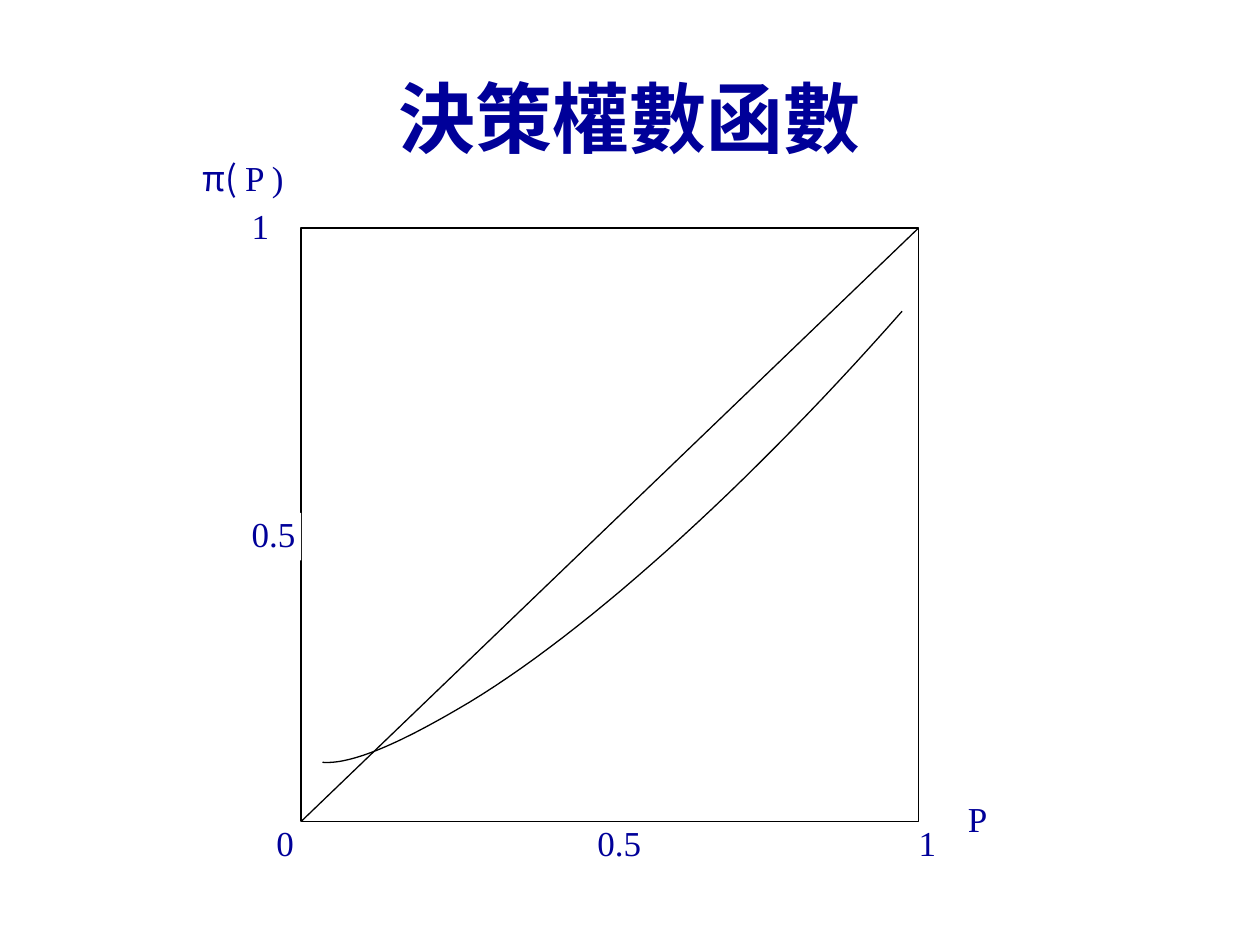
from dataclasses import dataclass

from lxml.etree import SubElement
from pptx import Presentation
from pptx.dml.color import RGBColor
from pptx.enum.shapes import MSO_CONNECTOR, MSO_SHAPE
from pptx.enum.text import MSO_ANCHOR, PP_ALIGN
from pptx.oxml.ns import qn
from pptx.util import Inches, Pt

NAVY, BLACK, WHITE = "000099", "000000", "FFFFFF"
SERIF, CJK = "Times New Roman", "Noto Sans CJK TC"

# The plot is a 25 by 25 grid; labels sit on the same grid outside it.
CELLS = 25
PLOT_LEFT, PLOT_TOP = 2.39, 1.81
COLUMN, ROW = 4.9 / CELLS, 4.71 / CELLS
LABEL_ROWS = 2


@dataclass(frozen=True)
class Label:
    column: int
    row: int
    columns: int
    text: str
    symbol: str = ""


@dataclass(frozen=True)
class Bezier:
    """Four control points, in inches on the slide."""
    start: tuple[float, float]
    pull_start: tuple[float, float]
    pull_end: tuple[float, float]
    end: tuple[float, float]

    def point(self, t: float) -> tuple[int, int]:
        """Position at share t of the way, in slide units."""
        weights = ((1 - t) ** 3, 3 * t * (1 - t) ** 2, 3 * t * t * (1 - t), t ** 3)
        controls = (self.start, self.pull_start, self.pull_end, self.end)
        return (Inches(sum(w * x for w, (x, _) in zip(weights, controls))),
                Inches(sum(w * y for w, (_, y) in zip(weights, controls))))


LABELS_BELOW_FRAME = [Label(25, 25, 1, "1"), Label(12, 25, 2, "0.5")]
LABELS_ABOVE_FRAME = [
    Label(27, 24, 2, "P"),
    Label(-4, -3, 4, "P )", symbol="π( "),
    Label(-1, 25, 1, "0"),
    Label(-2, 12, 2, "0.5"),
    Label(-2, -1, 1, "1"),
]
WEIGHT_CURVE = [
    Bezier((7.16, 2.47), (5.92, 3.88), (4.6, 5.07), (3.63, 5.63)),
    Bezier((3.63, 5.63), (3.2, 5.88), (2.8, 6.07), (2.56, 6.05)),
]
CURVE_STEPS = 30


def color(value: str) -> RGBColor:
    return RGBColor.from_string(value)


def grid_x(column: float) -> int:
    return Inches(PLOT_LEFT + column * COLUMN)


def grid_y(row: float) -> int:
    return Inches(PLOT_TOP + row * ROW)


def add_text(paragraph, text: str, *, size: float = 20, font: str = SERIF,
             fill: str = NAVY, bold: bool = False) -> None:
    run = paragraph.add_run()
    run.text = text
    run.font.size = Pt(size)
    run.font.bold = bold
    run.font.color.rgb = color(fill)
    run.font.name = font
    east_asian = SubElement(run.font._element, qn("a:ea"))
    east_asian.set("typeface", CJK)


def draw_line(line) -> None:
    line.color.rgb = color(BLACK)
    line.width = Pt(0.75)


def add_box(slide, column: int, row: int, columns: int, rows: int):
    box = slide.shapes.add_shape(
        MSO_SHAPE.RECTANGLE, grid_x(column), grid_y(row),
        Inches(columns * COLUMN), Inches(rows * ROW))
    box.shadow.inherit = False
    box.fill.solid()
    box.fill.fore_color.rgb = color(WHITE)
    return box


def add_label(slide, label: Label) -> None:
    box = add_box(slide, label.column, label.row, label.columns, LABEL_ROWS)
    box.line.fill.background()
    frame = box.text_frame
    frame.margin_left = frame.margin_right = frame.margin_top = frame.margin_bottom = 0
    frame.vertical_anchor = MSO_ANCHOR.TOP
    frame.word_wrap = True
    paragraph = frame.paragraphs[0]
    paragraph.alignment = PP_ALIGN.LEFT
    if label.symbol:
        add_text(paragraph, label.symbol, font=CJK)
    add_text(paragraph, label.text)


def add_title(slide, text: str) -> None:
    title = slide.shapes.title
    title.left, title.top = Inches(0.5), Inches(0.3)
    title.width, title.height = Inches(9), Inches(1.25)
    title.text_frame.vertical_anchor = MSO_ANCHOR.MIDDLE
    paragraph = title.text_frame.paragraphs[0]
    paragraph.alignment = PP_ALIGN.CENTER
    add_text(paragraph, text, size=44, bold=True)


def add_diagonal(slide) -> None:
    diagonal = slide.shapes.add_connector(
        MSO_CONNECTOR.STRAIGHT, grid_x(0), grid_y(CELLS), grid_x(CELLS), grid_y(0))
    draw_line(diagonal.line)
    SubElement(diagonal._element.spPr, qn("a:effectLst"))


def add_curve(slide, pieces: list[Bezier]) -> None:
    points = [piece.point(step / CURVE_STEPS)
              for piece in pieces for step in range(1, CURVE_STEPS + 1)]
    builder = slide.shapes.build_freeform(*pieces[0].point(0))
    builder.add_line_segments(points, close=False)
    curve = builder.convert_to_shape()
    curve.shadow.inherit = False
    curve.fill.background()
    draw_line(curve.line)


def main() -> None:
    presentation = Presentation()
    presentation.slide_width, presentation.slide_height = Inches(10), Inches(7.5)
    slide = presentation.slides.add_slide(presentation.slide_layouts[5])
    add_title(slide, "決策權數函數")
    for label in LABELS_BELOW_FRAME:
        add_label(slide, label)
    frame = add_box(slide, 0, 0, CELLS, CELLS)
    draw_line(frame.line)
    add_diagonal(slide)
    for label in LABELS_ABOVE_FRAME:
        add_label(slide, label)
    add_curve(slide, WEIGHT_CURVE)
    presentation.save("out.pptx")


if __name__ == "__main__":
    main()
